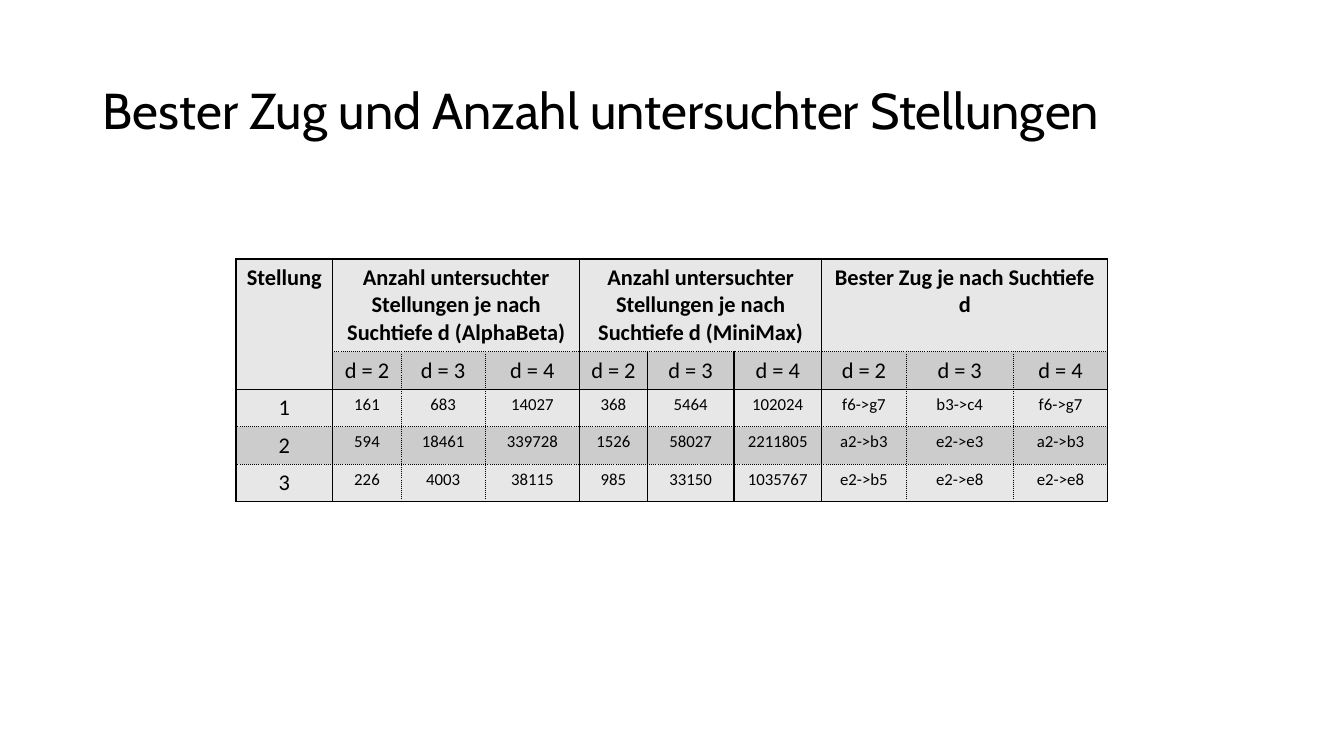
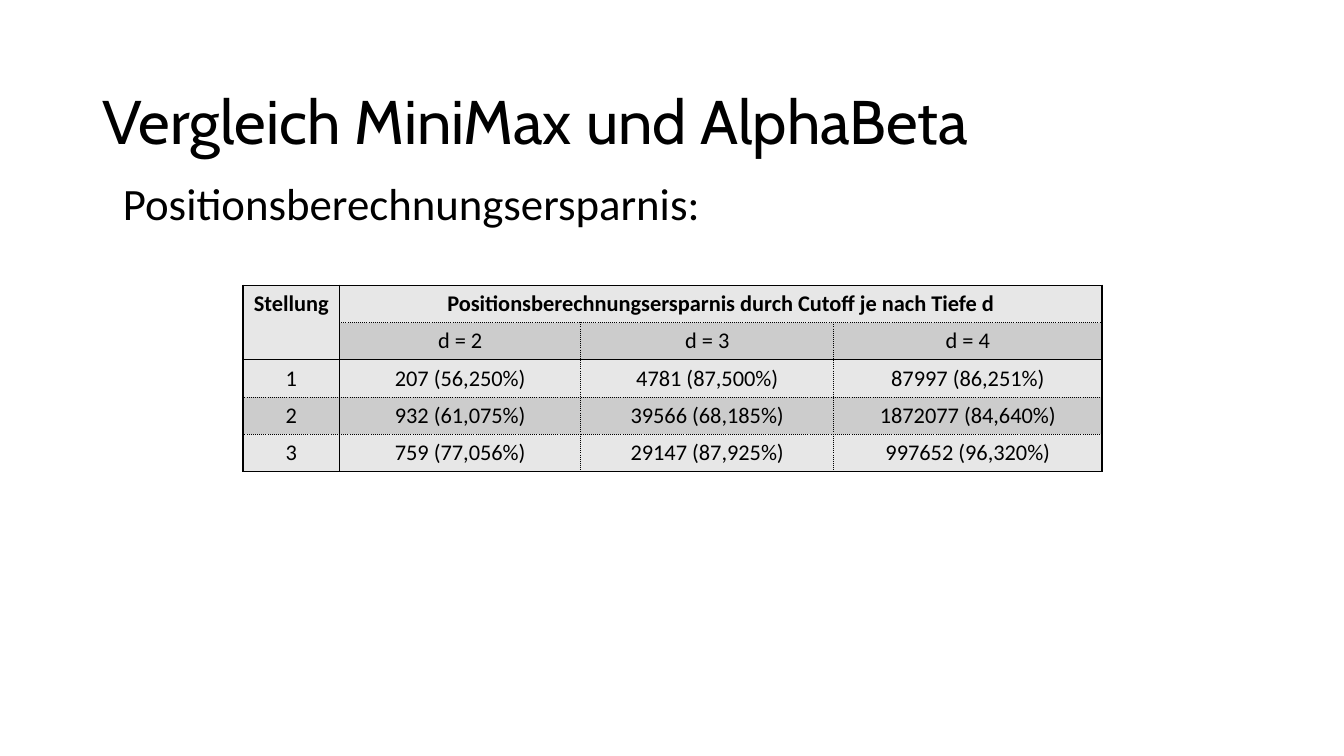
import dataclasses

import lxml.etree
import pptx
import pptx.dml.color
import pptx.enum.text
import pptx.oxml.ns
import pptx.util

Inches = pptx.util.Inches
Pt = pptx.util.Pt
qn = pptx.oxml.ns.qn


@dataclasses.dataclass(frozen=True)
class Theme:
    """Colours, fonts and type sizes shared by the slides."""
    ink: str = "000000"
    light: str = "E7E7E7"
    dark: str = "CCCCCC"
    title_font: str = "Cabin"
    body_font: str = "Calibri"
    table_size: int = 16
    small_size: int = 12
    lead_size: int = 32


THEME = Theme()
SOLID_ROWS = {0, 2, 5}
DEPTHS = ["d = 2", "d = 3", "d = 4"]


def rgb(value):
    """Turn a hex string into a colour."""
    return pptx.dml.color.RGBColor.from_string(value)


def write(tf, text, size, font, bold=False, align=pptx.enum.text.PP_ALIGN.LEFT):
    """Write one formatted run and return its paragraph."""
    p = tf.paragraphs[0]
    p.alignment = align
    r = p.add_run()
    r.text = text
    r.font.size = Pt(size)
    r.font.name = font
    r.font.bold = bold
    r.font.color.rgb = rgb(THEME.ink)
    return p


def place(sp, box):
    """Move a shape to a box given in inches."""
    sp.left, sp.top, sp.width, sp.height = map(Inches, box)


def add_titled_slide(prs, text, box, size):
    """Add a slide with a left-aligned title."""
    s = prs.slides.add_slide(prs.slide_layouts[5])
    sp = s.shapes.title
    place(sp, box)
    tf = sp.text_frame
    tf.auto_size = pptx.enum.text.MSO_AUTO_SIZE.NONE
    tf.vertical_anchor = pptx.enum.text.MSO_ANCHOR.MIDDLE
    p = write(tf, text, size, THEME.title_font)
    p.line_spacing = 0.9
    return s


def add_lead(s, text, box):
    """Add the line that introduces the table."""
    sp = s.shapes.add_textbox(*map(Inches, box))
    tf = sp.text_frame
    tf.word_wrap = False
    write(tf, text, THEME.lead_size, THEME.body_font)


def set_borders(cell, solid_by_side):
    """Draw solid or dotted lines on the sides of a cell."""
    tc_pr = cell._tc.get_or_add_tcPr()
    for i, (side, solid) in enumerate(solid_by_side.items()):
        ln = lxml.etree.Element(qn(f"a:ln{side}"), w=str(Pt(1 if solid else 0.5)))
        fill = lxml.etree.SubElement(ln, qn("a:solidFill"))
        lxml.etree.SubElement(fill, qn("a:srgbClr"), val=THEME.ink)
        lxml.etree.SubElement(ln, qn("a:prstDash"), val="solid" if solid else "sysDot")
        tc_pr.insert(i, ln)


def add_result_table(s, origin, widths, heights, groups, rows, solid_cols, value_size):
    """Add a table with grouped headings above the search depths."""
    box = (*origin, sum(widths), sum(heights))
    shape = s.shapes.add_table(len(heights), len(widths), *map(Inches, box))
    table = shape.table
    table.first_row = table.horz_banding = False
    for col, width in zip(table.columns, widths):
        col.width = Inches(width)
    for row, height in zip(table.rows, heights):
        row.height = Inches(height)

    table.cell(0, 0).merge(table.cell(1, 0))
    heading = ["Stellung"]
    for i, group in enumerate(groups):
        first = 1 + i * len(DEPTHS)
        table.cell(0, first).merge(table.cell(0, first + len(DEPTHS) - 1))
        heading += [group] + [""] * (len(DEPTHS) - 1)
    content = [heading, [""] + DEPTHS * len(groups)]
    content += [[str(n), *row] for n, row in enumerate(rows, 1)]

    for r, texts in enumerate(content):
        for c, text in enumerate(texts):
            cell = table.cell(r, c)
            cell.fill.solid()
            cell.fill.fore_color.rgb = rgb(THEME.dark if r % 2 and not cell.is_spanned else THEME.light)
            if cell.is_spanned:
                continue
            size = value_size if r > 1 and c else THEME.table_size
            write(cell.text_frame, text, size, THEME.body_font, r == 0,
                  pptx.enum.text.PP_ALIGN.CENTER)
            set_borders(cell, {
                "L": c in solid_cols,
                "R": c + cell.span_width in solid_cols,
                "T": r in SOLID_ROWS,
                "B": r + cell.span_height in SOLID_ROWS,
            })


def build_positions(prs):
    """Build the slide with best moves and position counts."""
    s = add_titled_slide(prs, "Bester Zug und Anzahl untersuchter Stellungen",
                         (0.92, 0.4, 11.5, 1.45), 36)
    count = "Anzahl untersuchter Stellungen je nach Suchtiefe d"
    add_result_table(
        s, (2.34, 2.57),
        [0.96, 0.68, 0.83, 0.94, 0.67, 0.86, 0.87, 0.84, 1.06, 0.94],
        [0.92] + [0.37] * 4,
        [f"{count} (AlphaBeta)", f"{count} (MiniMax)", "Bester Zug je nach Suchtiefe d"],
        [
            ["161", "683", "14027", "368", "5464", "102024", "f6->g7", "b3->c4", "f6->g7"],
            ["594", "18461", "339728", "1526", "58027", "2211805", "a2->b3", "e2->e3", "a2->b3"],
            ["226", "4003", "38115", "985", "33150", "1035767", "e2->b5", "e2->e8", "e2->e8"],
        ],
        {0, 1, 4, 5, 6, 7, 10}, THEME.small_size)


def build_comparison(prs):
    """Build the slide with the positions saved by cutoffs."""
    s = add_titled_slide(prs, "Vergleich MiniMax und AlphaBeta",
                         (0.92, 0.53, 11.5, 1.41), 44)
    add_lead(s, "Positionsberechnungsersparnis:", (1.12, 1.69, 5.99, 0.64))
    add_result_table(
        s, (2.41, 2.83), [0.96, 2.39, 2.51, 2.66], [0.37] * 5,
        ["Positionsberechnungsersparnis durch Cutoff je nach Tiefe d"],
        [
            ["207 (56,250%)", "4781 (87,500%)", "87997 (86,251%)"],
            ["932 (61,075%)", "39566 (68,185%)", "1872077 (84,640%)"],
            ["759 (77,056%)", "29147 (87,925%)", "997652 (96,320%)"],
        ],
        {0, 1, 4}, THEME.table_size)


def main():
    """Build and save the presentation."""
    prs = pptx.Presentation()
    prs.slide_width, prs.slide_height = Inches(13.33), Inches(7.5)
    build_positions(prs)
    build_comparison(prs)
    prs.save("out.pptx")


if __name__ == "__main__":
    main()
